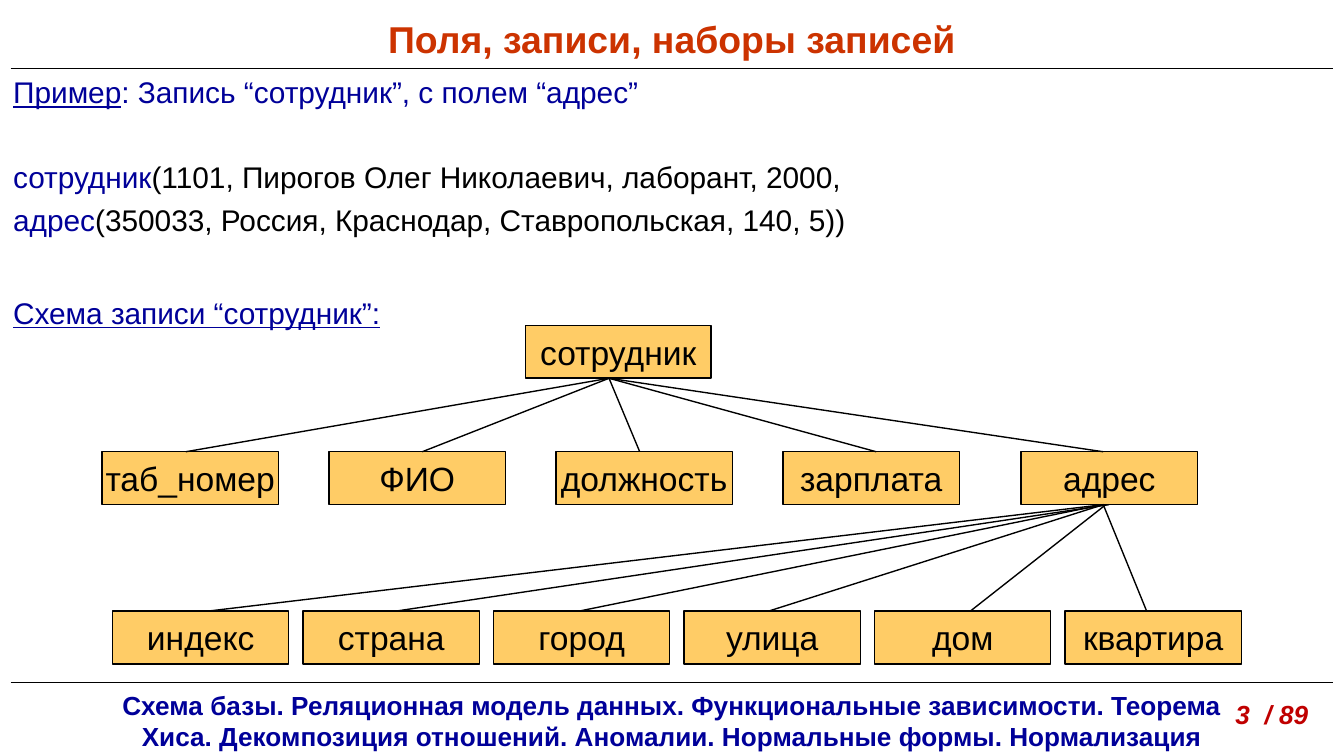
"""Slide on record fields: a sample record and its schema tree."""
from dataclasses import dataclass
from typing import Any

from lxml import etree
from pptx import Presentation
from pptx import util as u
from pptx.dml.color import RGBColor
from pptx.enum import shapes, text
from pptx.oxml import ns

INK = {"black": "000000", "navy": "000099", "rust": "CC3300",
       "red": "C00000", "gold": "FFCC66"}
MID = text.PP_ALIGN.CENTER
LEFT = text.PP_ALIGN.LEFT


@dataclass
class Run:
    words: str
    ink: str
    form: dict[str, Any]


@dataclass
class Para:
    runs: list[Run]
    form: dict[str, Any]


@dataclass
class Area:
    x: float
    y: float
    w: float
    h: float

    def cm(self) -> list[u.Length]:
        return [u.Cm(n) for n in (self.x, self.y, self.w, self.h)]


@dataclass
class Node:
    name: str
    area: Area


@dataclass
class Edge:
    start: float
    end: float


def style(item: Any, form: dict[str, Any]) -> None:
    """Set each format value on the item."""
    for key, value in form.items():
        setattr(item, key, value)


def write(frame: Any, paras: list[Para], form: dict[str, Any]) -> None:
    """Fill a text frame with paragraphs."""
    style(frame, form)
    for i, para in enumerate(paras):
        line = frame.add_paragraph() if i else frame.paragraphs[0]
        style(line, para.form)
        for run in para.runs:
            part = line.add_run()
            part.text = run.words
            style(part.font, {"name": "Arial"} | run.form)
            part.font.color.rgb = RGBColor.from_string(INK[run.ink])


def label(slide: Any, area: Area, paras: list[Para], **form: Any) -> None:
    """Add a wrapped text box."""
    box = slide.shapes.add_textbox(*area.cm())
    write(box.text_frame, paras, {"word_wrap": True} | form)


def pen(line: Any) -> None:
    """Give a thin black line."""
    line.color.rgb = RGBColor.from_string(INK["black"])
    line.width = u.Pt(0.75)


def block(slide: Any, node: Node) -> None:
    """Add one box of the tree."""
    box = slide.shapes.add_shape(shapes.MSO_SHAPE.RECTANGLE, *node.area.cm())
    box.shadow.inherit = False
    box.fill.solid()
    box.fill.fore_color.rgb = RGBColor.from_string(INK["gold"])
    pen(box.line)
    run = Run(node.name, "black", {"size": u.Pt(18)})
    write(box.text_frame, [Para([run], {"alignment": MID})],
          {"word_wrap": False, "vertical_anchor": text.MSO_ANCHOR.MIDDLE})


def rule(slide: Any, edge: Edge, top: float, low: float) -> None:
    """Add a straight line between two heights."""
    ends = [u.Cm(n) for n in (edge.start, top, edge.end, low)]
    line = slide.shapes.add_connector(shapes.MSO_CONNECTOR.STRAIGHT, *ends)
    pen(line.line)
    etree.SubElement(line.element.spPr, ns.qn("a:effectLst"))


def row(names: str, x: float, y: float, step: float) -> list[Node]:
    """Place equal boxes at an equal step."""
    return [Node(name, Area(x + i * step, y, 3.33, 1))
            for i, name in enumerate(names.split())]


def body() -> list[Para]:
    """Make the sample record text."""
    size = {"size": u.Pt(16)}
    under = size | {"underline": True}
    lines = [
        (6, [Run("Пример", "navy", under),
             Run(": Запись “сотрудник”, с полем “адрес”", "navy", size)]),
        (28.4, [Run("сотрудник", "navy", size),
                Run("(1101, Пирогов Олег Николаевич, лаборант, 2000,",
                    "black", size)]),
        (5.7, [Run("адрес", "navy", size),
               Run("(350033, Россия, Краснодар, Ставропольская, 140, 5))",
                   "black", size)]),
        (32.2, [Run("Схема записи “сотрудник”:", "navy", under)]),
    ]
    return [Para(runs, {"line_spacing": 0.9, "space_before": u.Pt(gap)})
            for gap, runs in lines]


def main() -> None:
    """Build and save the slide."""
    deck = Presentation()
    style(deck, {"slide_width": u.Cm(25.4), "slide_height": u.Cm(14.29)})
    slide = deck.slides.add_slide(deck.slide_layouts[6])

    bold = {"size": u.Pt(14), "bold": True}
    foot = ("Схема базы. Реляционная модель данных. Функциональные зависимости. "
            "Теорема Хиса. Декомпозиция отношений. Аномалии. "
            "Нормальные формы. Нормализация")
    label(slide, Area(2, 12.9, 21.4, 1.45),
          [Para([Run(foot, "navy", bold)], {"alignment": MID})])
    label(slide, Area(23.1, 13.08, 2.6, 0.86),
          [Para([Run("3  / 89", "red", bold | {"italic": True})],
                {"alignment": LEFT})])
    for y in (12.9, 1.3):
        rule(slide, Edge(0.2, 25.2), y, y)
    label(slide, Area(0, 0.15, 25.4, 1.15),
          [Para([Run("Поля, записи, наборы записей", "rust",
                     {"size": u.Pt(20), "bold": True})], {"alignment": MID})],
          vertical_anchor=text.MSO_ANCHOR.MIDDLE)

    nodes = [Node("сотрудник", Area(9.93, 6.15, 3.51, 1)),
             *row("таб_номер ФИО должность зарплата", 1.93, 8.54, 4.29),
             *row("адрес", 19.3, 8.54, 0),
             *row("индекс страна город улица дом квартира", 2.13, 11.55, 3.6)]
    for node in nodes:
        block(slide, node)
    for end in (3.51, 7.98, 12.09, 16.56, 20.85):
        rule(slide, Edge(11.51, end), 7.15, 8.54)
    for edge in (Edge(20.85, 3.94), Edge(20.96, 7.49), Edge(20.85, 10.95),
                 Edge(20.85, 14.53), Edge(20.9, 18.34), Edge(20.85, 21.67)):
        rule(slide, edge, 9.54, 11.55)

    label(slide, Area(0, 1.35, 25.4, 5.6), body())
    deck.save("out.pptx")


if __name__ == "__main__":
    main()
